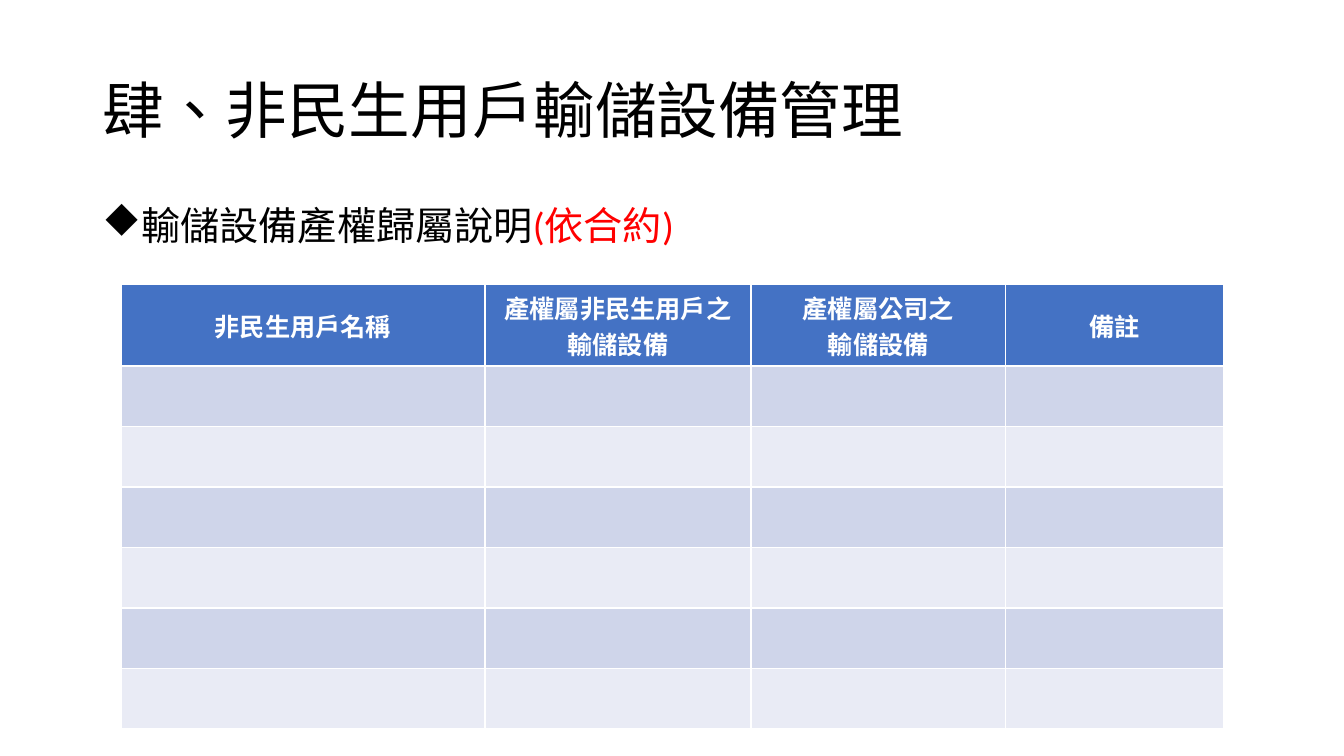
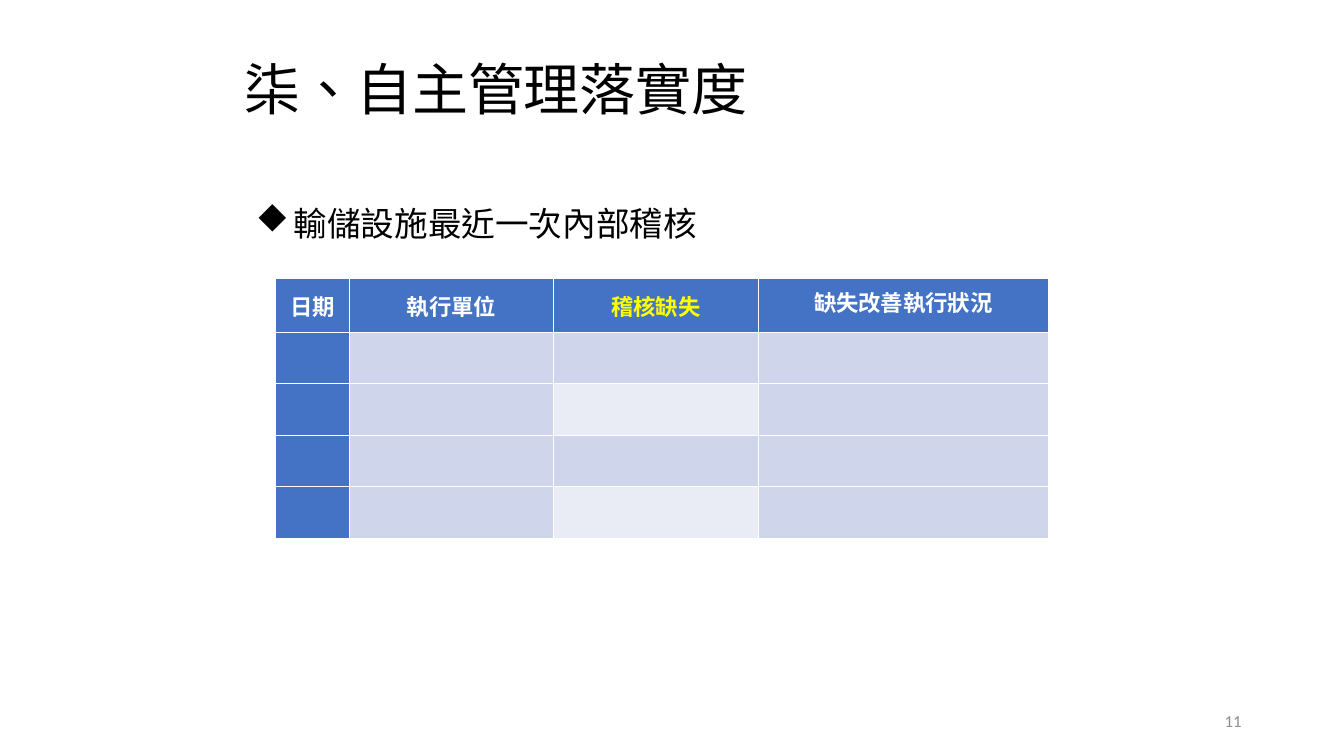
from lxml import etree
from pptx import Presentation
from pptx.dml.color import RGBColor
from pptx.enum.text import MSO_ANCHOR, MSO_AUTO_SIZE, PP_ALIGN
from pptx.oxml.ns import qn
from pptx.util import Pt

COLORS = {
    "text": "000000", "white": "FFFFFF", "red": "FF0000", "yellow": "FFFF00",
    "gray": "8C8C8C", "blue": "4472C4", "band": "CFD5EA", "light": "E9EBF5",
}
LATIN, CJK = "Calibri", "Noto Sans CJK SC"


def add_run(p, text, size, color="text", font=LATIN, bold=False):
    r = p.add_run()
    r.text = text
    r.font.size, r.font.bold, r.font.name = Pt(size), bold, font
    r.font.color.rgb = RGBColor.from_string(COLORS[color])
    rPr = r.font._element
    rPr.set("lang", "zh-TW")
    ea = etree.Element(qn("a:ea"), typeface=CJK)
    rPr.find(qn("a:latin")).addnext(ea)


def add_text(s, box, anchor):
    tf = s.shapes.add_textbox(*map(Pt, box)).text_frame
    tf.word_wrap, tf.vertical_anchor = True, anchor
    return tf.paragraphs[0]


prs = Presentation()
prs.slide_width, prs.slide_height = Pt(960), Pt(540)

SLIDES = [
    {
        "title": "肆、非民生用戶輸儲設備管理", "title_size": 44,
        "title_box": (66, 28.8, 828, 104.4), "title_inset": 7.2,
        "bullet": [("輸儲設備產權歸屬說明", "text"), ("(依合約)", "red")],
        "bullet_box": (66, 144, 828, 50), "bullet_anchor": MSO_ANCHOR.TOP,
        "bullet_size": 28, "indent": 18, "spacing": 0.9, "before": 10,
        "font": LATIN, "table_at": (86.4, 203),
        "cols": [260, 190, 182, 155.5], "rows": [58.5] + [43.2] * 6,
        "head": ["非民生用戶名稱", "產權屬非民生用戶之輸儲設備",
                 "產權屬公司之\n輸儲設備", "備註"],
        "head_size": 18, "head_inset": (7.2, 3.6), "highlight": None,
        "fills": [["band"] * 4, ["light"] * 4],
        "number": None,
    },
    {
        "title": "柒、自主管理落實度", "title_size": 40,
        "title_box": (174.5, 44, 549, 44), "title_inset": 0,
        "bullet": [("輸儲設施最近一次內部稽核", "text")],
        "bullet_box": (175.7, 129, 594, 46), "bullet_anchor": MSO_ANCHOR.MIDDLE,
        "bullet_size": 24, "indent": 27, "spacing": 1.5, "before": 0,
        "font": CJK, "table_at": (196.6, 198.7),
        "cols": [53, 146, 146, 207.5], "rows": [38.7] + [36.8] * 4,
        "head": ["日期", "執行單位", "稽核缺失", "缺失改善執行狀況"],
        "head_size": 16, "head_inset": (5, 0), "highlight": "稽核缺失",
        "fills": [["blue", "band", "band", "band"],
                  ["blue", "band", "light", "band"]],
        "number": "11",
    },
]

for d in SLIDES:
    s = prs.slides.add_slide(prs.slide_layouts[5])

    # Title
    title = s.shapes.title
    title.left, title.top, title.width, title.height = map(Pt, d["title_box"])
    tf = title.text_frame
    tf.word_wrap, tf.auto_size = True, MSO_AUTO_SIZE.NONE
    tf.vertical_anchor = MSO_ANCHOR.MIDDLE
    tf.margin_left = tf.margin_right = Pt(d["title_inset"])
    p = tf.paragraphs[0]
    p.alignment, p.line_spacing = PP_ALIGN.LEFT, 0.9
    add_run(p, d["title"], d["title_size"])

    # Bullet line
    p = add_text(s, d["bullet_box"], d["bullet_anchor"])
    p.line_spacing, p.space_before = d["spacing"], Pt(d["before"])
    pPr = p._p.get_or_add_pPr()
    pPr.set("marL", str(Pt(d["indent"])))
    pPr.set("indent", str(-Pt(d["indent"])))
    etree.SubElement(pPr, qn("a:buFont"), typeface="Wingdings", charset="2")
    etree.SubElement(pPr, qn("a:buChar"), char="u")
    for text, color in d["bullet"]:
        add_run(p, text, d["bullet_size"], color, d["font"])

    # Table
    cols, rows = d["cols"], d["rows"]
    size = (sum(cols), sum(rows))
    table = s.shapes.add_table(len(rows), len(cols),
                               *map(Pt, d["table_at"] + size)).table
    for col, width in zip(table.columns, cols):
        col.width = Pt(width)
    for i, height in enumerate(rows):
        table.rows[i].height = Pt(height)
        fills = d["fills"][(i - 1) % 2] if i else ["blue"] * len(cols)
        for cell, fill in zip(table.rows[i].cells, fills):
            cell.fill.solid()
            cell.fill.fore_color.rgb = RGBColor.from_string(COLORS[fill])

    # Header row
    for cell, text in zip(table.rows[0].cells, d["head"]):
        cell.vertical_anchor = MSO_ANCHOR.MIDDLE
        side, edge = map(Pt, d["head_inset"])
        cell.margin_left = cell.margin_right = side
        cell.margin_top = cell.margin_bottom = edge
        color = "yellow" if text == d["highlight"] else "white"
        for k, line in enumerate(text.split("\n")):
            tf = cell.text_frame
            p = tf.add_paragraph() if k else tf.paragraphs[0]
            p.alignment = PP_ALIGN.CENTER
            if text == "缺失改善執行狀況":
                p.line_spacing = Pt(18)
            add_run(p, line, d["head_size"], color, d["font"], bold=True)

    # Slide number
    if d["number"]:
        p = add_text(s, (678, 500.5, 216, 28.8), MSO_ANCHOR.MIDDLE)
        p.alignment = PP_ALIGN.RIGHT
        add_run(p, d["number"], 12, "gray")

prs.save("out.pptx")
